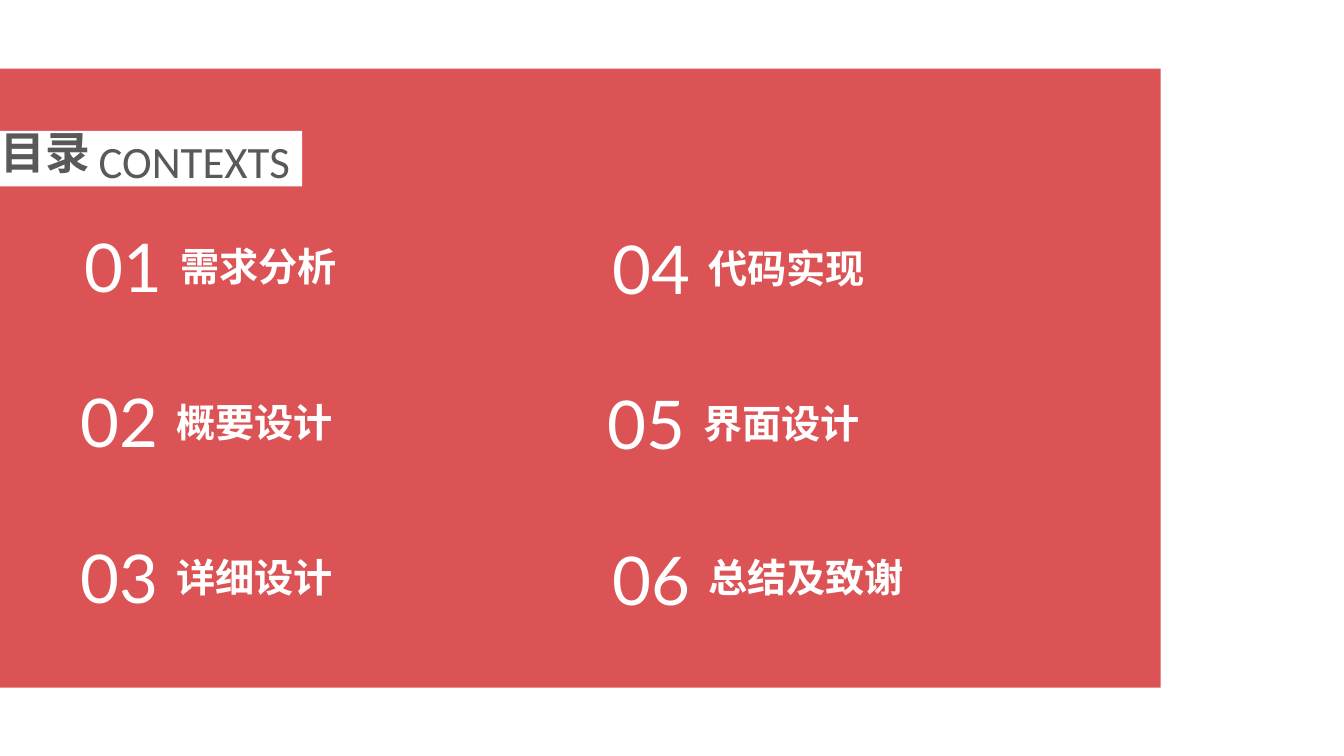
from lxml.etree import SubElement
from pptx import Presentation
from pptx.dml.color import RGBColor
from pptx.enum.shapes import MSO_SHAPE as SHAPE
from pptx.enum.text import MSO_AUTO_SIZE as FIT
from pptx.oxml.ns import qn
from pptx.util import Cm, Pt

# Content: number, title, left edge and title drop in cm, by column
COLUMNS = [
    (5.56, [("01", "需求分析", 1.88, 0.43),
            ("02", "概要设计", 1.78, 0.43),
            ("03", "详细设计", 1.78, 0.43)]),
    (5.61, [("04", "代码实现", 15.19, 0.43),
            ("05", "界面设计", 15.06, 0.43),
            ("06", "总结及致谢", 15.19, 0.38)]),
]
HEADING = [("目录", -0.23, 3.02, 3.05, "Noto Sans CJK SC", True),
           ("CONTEXTS", 2.24, 3.25, 6.7, "Calibri", False)]

RED = RGBColor(0xDB, 0x53, 0x55)
WHITE = RGBColor(0xFF, 0xFF, 0xFF)
GREY = RGBColor(0x59, 0x59, 0x59)
ROW_PITCH = 3.91
TITLE_SHIFT = 2.42

prs = Presentation()
prs.slide_width, prs.slide_height = Cm(33.88), Cm(19.05)
s = prs.slides.add_slide(prs.slide_layouts[6])


def add_band(x, y, w, h, color):
    sp = s.shapes.add_shape(SHAPE.RECTANGLE, Cm(x), Cm(y), Cm(w), Cm(h))
    sp.shadow.inherit = False
    sp.fill.solid()
    sp.fill.fore_color.rgb = color
    sp.line.fill.background()


def add_text(text, x, y, w, h, size, font, color, bold=False):
    tf = s.shapes.add_textbox(Cm(x), Cm(y), Cm(w), Cm(h)).text_frame
    tf.word_wrap = True
    tf.auto_size = FIT.SHAPE_TO_FIT_TEXT
    p = tf.paragraphs[0]
    r = p.add_run()
    r.text = text
    p.font.size, p.font.name, p.font.bold = Pt(size), font, bold
    p.font.color.rgb = color
    # East Asian glyphs take their own typeface
    SubElement(r._r.get_or_add_rPr(), qn("a:ea"), typeface=font)


# Panel and heading strip
add_band(0, 1.73, 29.26, 15.6, RED)
add_band(0, 3.3, 7.62, 1.4, WHITE)
for text, x, y, w, font, bold in HEADING:
    add_text(text, x, y, w, 1.63, 32, font, GREY, bold)

# Numbered chapters in two columns
for top, chapters in COLUMNS:
    for row, (number, title, x, drop) in enumerate(chapters):
        y = top + row * ROW_PITCH
        add_text(number, x, y, 3.38, 2.29, 48, "Lato", WHITE)
        add_text(title, x + TITLE_SHIFT, y + drop, 9.92, 1.45, 28,
                 "Noto Sans CJK SC", WHITE, True)

prs.save("out.pptx")
